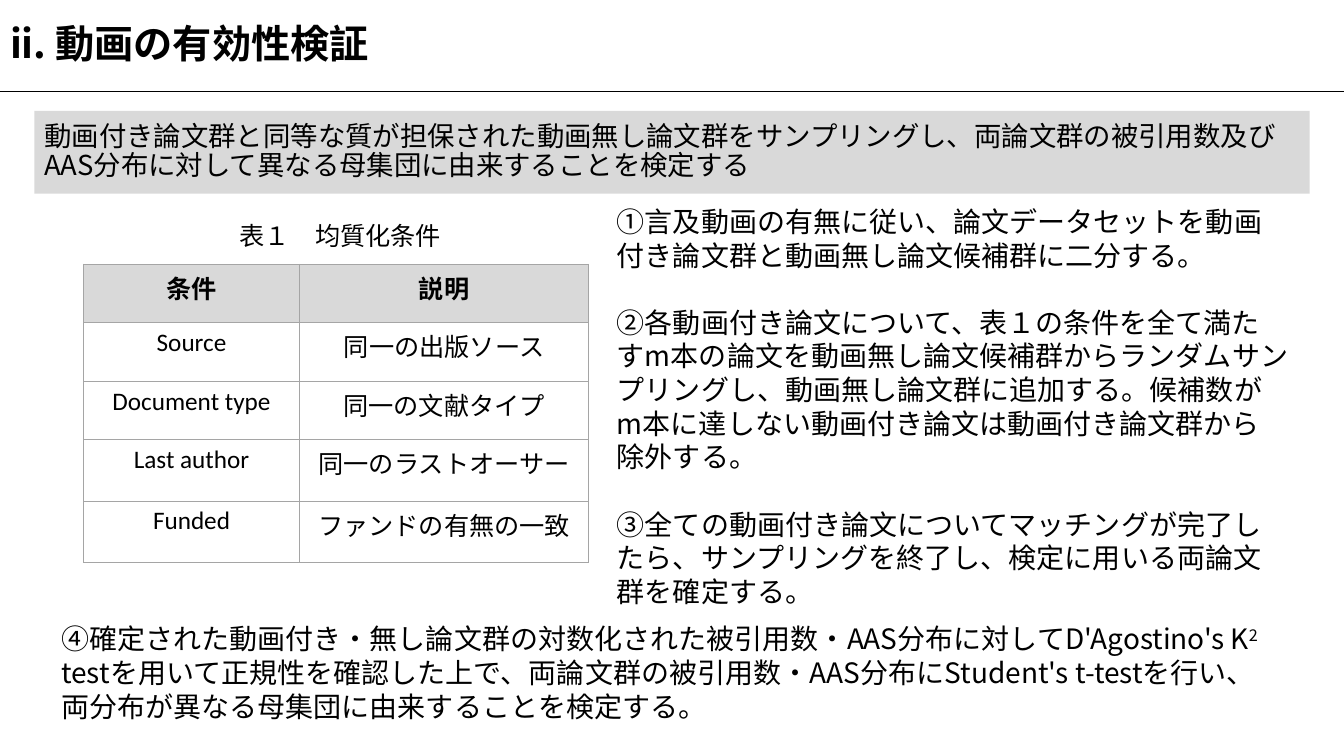
"""Build the slide on verifying the effectiveness of videos."""
from dataclasses import dataclass

from lxml.etree import SubElement
from pptx import Presentation
from pptx.dml.color import RGBColor
from pptx.enum.shapes import MSO_CONNECTOR
from pptx.enum.text import MSO_ANCHOR, MSO_AUTO_SIZE, PP_ALIGN
from pptx.oxml.ns import qn
from pptx.util import Inches, Pt


@dataclass(frozen=True)
class Theme:
    """Fonts, colours and type sizes of the slide."""
    font: str = "Noto Sans CJK JP"
    table_font: str = "Calibri"
    ink: RGBColor = RGBColor(0x00, 0x00, 0x00)
    panel: RGBColor = RGBColor(0xD9, 0xD9, 0xD9)
    paper: RGBColor = RGBColor(0xFF, 0xFF, 0xFF)
    border: str = "A5A5A5"
    title_size: float = 28
    summary_size: float = 19.6
    body_size: float = 20
    table_size: float = 18
    step_gap: float = 24


THEME = Theme()

SUMMARY = (
    "動画付き論文群と同等な質が担保された動画無し論文群をサンプリングし、"
    "両論文群の被引用数及びAAS分布に対して異なる母集団に由来することを検定する"
)
CONDITIONS = [
    ("条件", "説明"),
    ("Source", "同一の出版ソース"),
    ("Document type", "同一の文献タイプ"),
    ("Last author", "同一のラストオーサー"),
    ("Funded", "ファンドの有無の一致"),
]
COLUMN_WIDTHS = (2.14, 2.87)
ROW_HEIGHTS = (0.58, 0.58, 0.58, 0.61, 0.61)
SAMPLING_STEPS = [
    ["①言及動画の有無に従い、論文データセットを動画付き論文群と"
     "動画無し論文候補群に二分する。"],
    ["②各動画付き論文について、表１の条件を全て満たすm本の論文を"
     "動画無し論文候補群からランダムサンプリングし、動画無し論文群に追加する。"
     "候補数がm本に達しない動画付き論文は動画付き論文群から除外する。"],
    ["③全ての動画付き論文についてマッチングが完了したら、"
     "サンプリングを終了し、検定に用いる両論文群を確定する。"],
]
SUPERSCRIPT = "2"
TEST_STEP = [
    "④確定された動画付き・無し論文群の対数化された被引用数・"
    "AAS分布に対してD'Agostino's K",
    SUPERSCRIPT,
    " testを用いて正規性を確認した上で、両論文群の被引用数・"
    "AAS分布にStudent's t-testを行い、両分布が異なる母集団に由来することを検定する。",
]


def apply_format(target, values):
    """Set every attribute named in a dict of format values."""
    for name, value in values.items():
        setattr(target, name, value)


def place(shape, left, top, width, height):
    """Move and size a shape in inches."""
    apply_format(shape, {
        "left": Inches(left), "top": Inches(top),
        "width": Inches(width), "height": Inches(height),
    })


def write_paragraph(paragraph, pieces, size, bold=False, font=THEME.font, **layout):
    """Write the pieces of text as runs of one formatted paragraph."""
    apply_format(paragraph, {"space_before": Pt(0), **layout})
    for piece in pieces:
        run = paragraph.add_run()
        run.text = piece
        apply_format(run.font, {"name": font, "size": Pt(size), "bold": bold})
        run.font.color.rgb = THEME.ink
        properties = run._r.get_or_add_rPr()
        SubElement(properties, qn("a:ea")).set("typeface", THEME.font)
        if piece == SUPERSCRIPT:
            properties.set("baseline", "30000")


def fill_placeholder(shape, box, text, size, bold=False):
    """Place a placeholder and write its text without a bullet."""
    place(shape, *box)
    apply_format(shape.text_frame, {
        "word_wrap": True, "auto_size": MSO_AUTO_SIZE.NONE,
        "vertical_anchor": MSO_ANCHOR.MIDDLE,
    })
    paragraph = shape.text_frame.paragraphs[0]
    properties = paragraph._p.get_or_add_pPr()
    properties.set("marL", "0")
    properties.set("indent", "0")
    SubElement(properties, qn("a:buNone"))
    write_paragraph(paragraph, [text], size, bold,
                    alignment=PP_ALIGN.LEFT, line_spacing=0.9)


def add_text(slide, box, paragraphs, size, alignment=PP_ALIGN.LEFT):
    """Add a wrapped text box with a gap between its paragraphs."""
    shape = slide.shapes.add_textbox(*map(Inches, box))
    frame = shape.text_frame
    frame.word_wrap = True
    for index, pieces in enumerate(paragraphs):
        paragraph = frame.add_paragraph() if index else frame.paragraphs[0]
        gap = THEME.step_gap if index else 0
        write_paragraph(paragraph, pieces, size,
                        alignment=alignment, space_before=Pt(gap))


def add_rule(slide, top, width):
    """Add the horizontal line below the title."""
    rule = slide.shapes.add_connector(
        MSO_CONNECTOR.STRAIGHT, 0, Inches(top), Inches(width), Inches(top))
    rule.line.color.rgb = THEME.ink
    rule.line.width = Pt(1)
    SubElement(rule._element.spPr, qn("a:effectLst"))


def add_borders(cell):
    """Draw a thin border on all four sides of a cell."""
    properties = cell._tc.get_or_add_tcPr()
    for index, side in enumerate(("lnL", "lnR", "lnT", "lnB")):
        line = properties.makeelement(qn(f"a:{side}"), {"w": str(Pt(0.5))})
        fill = SubElement(line, qn("a:solidFill"))
        SubElement(fill, qn("a:srgbClr")).set("val", THEME.border)
        properties.insert(index, line)


def add_conditions_table(slide, left, top):
    """Add the table of matching conditions."""
    frame = slide.shapes.add_table(
        len(CONDITIONS), len(COLUMN_WIDTHS), Inches(left), Inches(top),
        Inches(sum(COLUMN_WIDTHS)), Inches(sum(ROW_HEIGHTS)))
    table = frame.table
    for column, width in zip(table.columns, COLUMN_WIDTHS):
        column.width = Inches(width)
    for row_index, (row, height) in enumerate(zip(table.rows, ROW_HEIGHTS)):
        row.height = Inches(height)
        header = row_index == 0
        for cell, text in zip(row.cells, CONDITIONS[row_index]):
            cell.fill.solid()
            cell.fill.fore_color.rgb = THEME.panel if header else THEME.paper
            add_borders(cell)
            write_paragraph(cell.text_frame.paragraphs[0], [text],
                            THEME.table_size, header, THEME.table_font,
                            alignment=PP_ALIGN.CENTER)


def main():
    """Build and save the slide."""
    presentation = Presentation()
    presentation.slide_width = Inches(13.33)
    presentation.slide_height = Inches(7.5)
    slide = presentation.slides.add_slide(presentation.slide_layouts[1])
    title, summary = slide.placeholders

    add_rule(slide, 0.91, 13.33)
    fill_placeholder(title, (0, 0, 13.33, 0.91), "ii. 動画の有効性検証",
                     THEME.title_size, bold=True)
    fill_placeholder(summary, (0.34, 1.1, 12.65, 0.82), SUMMARY, THEME.summary_size)
    summary.fill.solid()
    summary.fill.fore_color.rgb = THEME.panel

    add_conditions_table(slide, 0.83, 2.62)
    add_text(slide, (6.02, 1.98, 6.85, 4.14), SAMPLING_STEPS, THEME.body_size)
    add_text(slide, (1.72, 2.14, 3.31, 0.4), [["表１　均質化条件"]],
             THEME.table_size, PP_ALIGN.CENTER)
    add_text(slide, (0.51, 6.12, 12.26, 1.11), [TEST_STEP], THEME.body_size)
    presentation.save("out.pptx")


if __name__ == "__main__":
    main()
